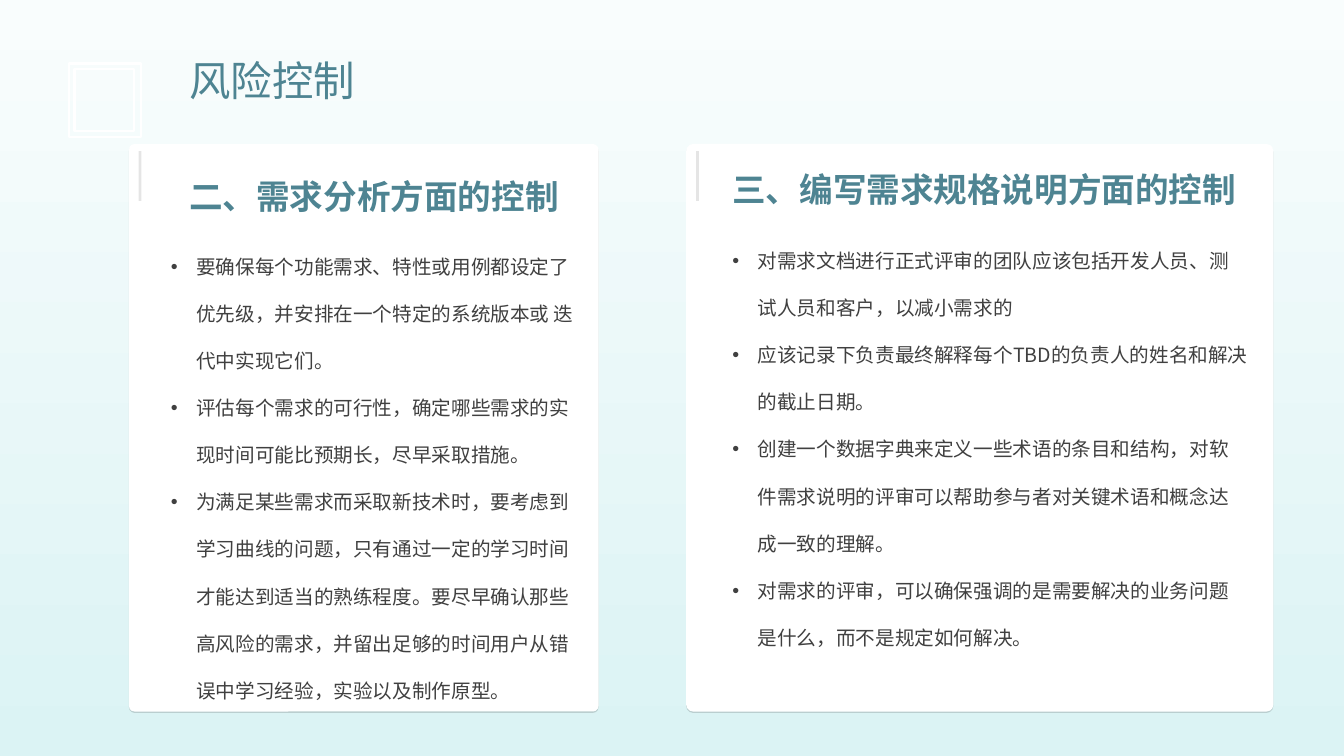
import dataclasses

import lxml.etree
import pptx
import pptx.dml.color
import pptx.enum.shapes
import pptx.enum.text
import pptx.oxml
import pptx.oxml.ns
import pptx.util

Cm = pptx.util.Cm
Pt = pptx.util.Pt
qn = pptx.oxml.ns.qn
NAMESPACE = pptx.oxml.ns.nsdecls("a")


@dataclasses.dataclass(frozen=True)
class Theme:
    background_top: str = "F9FDFD"
    background_bottom: str = "DBF3F4"
    accent: str = "4E8492"
    body: str = "404040"
    white: str = "FFFFFF"
    black: str = "000000"
    latin_font: str = "Arial"
    font: str = "Noto Sans CJK SC"
    title_size: float = 29.6
    heading_size: float = 24
    body_size: float = 14


def rgb(value):
    return pptx.dml.color.RGBColor.from_string(value)


def write_text(paragraph, text, *, size, color, font, east_asian, spacing, bold=False, bullet=None):
    properties = paragraph._p.get_or_add_pPr()
    if bullet:
        properties.set("marL", str(Cm(0.64)))
        properties.set("indent", str(-Cm(0.64)))
        bullet_color = lxml.etree.SubElement(properties, qn("a:buClr"))
        lxml.etree.SubElement(bullet_color, qn("a:srgbClr"), val=color)
        lxml.etree.SubElement(properties, qn("a:buFont"), typeface="Arial")
        lxml.etree.SubElement(properties, qn("a:buChar"), char=bullet)
    paragraph.alignment = pptx.enum.text.PP_ALIGN.LEFT
    paragraph.line_spacing = Pt(spacing)
    paragraph.space_before = Pt(0)
    run = paragraph.add_run()
    run.text = text
    run.font.size = Pt(size)
    run.font.bold = bold
    run.font.color.rgb = rgb(color)
    run.font.name = font
    lxml.etree.SubElement(run._r.get_or_add_rPr(), qn("a:ea"), typeface=east_asian)


class SlideBuilder:
    def __init__(self, presentation, theme):
        self.theme = theme
        self.slide = presentation.slides.add_slide(presentation.slide_layouts[5])

    def background(self):
        fill = self.slide.background.fill
        fill.gradient()
        fill.gradient_angle = 270
        colors = (self.theme.background_top, self.theme.background_bottom)
        for stop, position, color in zip(fill.gradient_stops, (0, 1), colors):
            stop.position = position
            stop.color.rgb = rgb(color)

    def prepare_frame(self, frame):
        frame.word_wrap = True
        frame.auto_size = pptx.enum.text.MSO_AUTO_SIZE.NONE
        frame.vertical_anchor = pptx.enum.text.MSO_ANCHOR.TOP
        frame.margin_left = frame.margin_right = Cm(0.25)
        frame.margin_top = frame.margin_bottom = Cm(0.13)

    def title(self, text, left, top, width, height):
        shape = self.slide.shapes.title
        shape.left, shape.top = Cm(left), Cm(top)
        shape.width, shape.height = Cm(width), Cm(height)
        self.prepare_frame(shape.text_frame)
        write_text(shape.text_frame.paragraphs[0], text, size=self.theme.title_size,
                   color=self.theme.accent, font=self.theme.latin_font,
                   east_asian=self.theme.font, spacing=33)

    def text_box(self, texts, left, top, width, height, **text_format):
        shape = self.slide.shapes.add_textbox(Cm(left), Cm(top), Cm(width), Cm(height))
        frame = shape.text_frame
        self.prepare_frame(frame)
        for index, text in enumerate(texts):
            paragraph = frame.add_paragraph() if index else frame.paragraphs[0]
            write_text(paragraph, text, font=self.theme.font,
                       east_asian=self.theme.font, **text_format)

    def heading(self, text, left, top, width):
        self.text_box([text], left, top, width, 1.27, size=self.theme.heading_size,
                      color=self.theme.accent, spacing=30, bold=True)

    def bullets(self, texts, left, top, width, height):
        self.text_box(texts, left, top, width, height, size=self.theme.body_size,
                      color=self.theme.body, spacing=33.6, bullet="•")

    def double_frame(self, outer, inner):
        def corners(left, top, right, bottom):
            return [(Cm(x), Cm(y)) for x, y in
                    ((left, top), (right, top), (right, bottom), (left, bottom))]

        first, *rest = corners(*outer)
        builder = self.slide.shapes.build_freeform(*first)
        builder.add_line_segments(rest, close=True)
        first, *rest = corners(*inner)
        builder.move_to(*first)
        builder.add_line_segments(rest, close=True)
        shape = builder.convert_to_shape()
        shape.shadow.inherit = False
        shape.fill.background()
        shape.line.color.rgb = rgb(self.theme.white)
        shape.line.width = Pt(1.5)

    def card(self, left, top, width, height):
        shape = self.slide.shapes.add_shape(
            pptx.enum.shapes.MSO_SHAPE.ROUNDED_RECTANGLE,
            Cm(left), Cm(top), Cm(width), Cm(height))
        shape.adjustments[0] = 0.012
        shape.fill.solid()
        shape.fill.fore_color.rgb = rgb(self.theme.white)
        shape.line.fill.background()
        shape.shadow.inherit = False
        effects = shape._element.spPr.find(qn("a:effectLst"))
        effects.append(pptx.oxml.parse_xml(
            f'<a:outerShdw {NAMESPACE} blurRad="0" dist="12700" dir="5400000">'
            f'<a:srgbClr val="{self.theme.black}"><a:alpha val="15000"/></a:srgbClr>'
            '</a:outerShdw>'))
        self.accent_line(left + 0.28, top + 0.18, top + 1.43)

    def accent_line(self, x, top, bottom):
        connector = self.slide.shapes.add_connector(
            pptx.enum.shapes.MSO_CONNECTOR.STRAIGHT, Cm(x), Cm(top), Cm(x), Cm(bottom))
        connector.line.color.rgb = rgb(self.theme.black)
        connector.line.width = Pt(2)
        properties = connector._element.spPr
        color = properties.find(".//" + qn("a:srgbClr"))
        lxml.etree.SubElement(color, qn("a:alpha"), val="10000")
        lxml.etree.SubElement(properties, qn("a:effectLst"))


def main():
    presentation = pptx.Presentation()
    presentation.slide_width, presentation.slide_height = Cm(33.88), Cm(19.05)
    builder = SlideBuilder(presentation, Theme())
    builder.background()
    builder.double_frame((1.73, 1.6, 3.55, 3.45), (1.88, 1.75, 3.39, 3.31))
    builder.title("风险控制", 4.52, 1.35, 13.67, 1.57)

    builder.card(3.25, 3.63, 11.84, 14.3)
    builder.heading("二、需求分析方面的控制", 4.52, 4.27, 10.01)
    builder.bullets([
        "要确保每个功能需求、特性或用例都设定了优先级，并安排在一个特定的系统版本或 迭代中实现它们。",
        "评估每个需求的可行性，确定哪些需求的实现时间可能比预期长，尽早采取措施。",
        "为满足某些需求而采取新技术时，要考虑到学习曲线的问题，只有通过一定的学习时间才能达到适当的熟练程度。"
        "要尽早确认那些高风险的需求，并留出足够的时间用户从错误中学习经验，实验以及制作原型。",
    ], 4.06, 5.71, 10.92, 12.12)

    builder.card(17.3, 3.63, 14.8, 14.3)
    builder.heading("三、编写需求规格说明方面的控制", 18.21, 4.09, 13.31)
    builder.bullets([
        "对需求文档进行正式评审的团队应该包括开发人员、测试人员和客户，以减小需求的",
        "应该记录下负责最终解释每个TBD的负责人的姓名和解决的截止日期。",
        "创建一个数据字典来定义一些术语的条目和结构，对软件需求说明的评审可以帮助参与者对关键术语和概念达成一致的理解。",
        "对需求的评审，可以确保强调的是需要解决的业务问题是什么，而不是规定如何解决。",
    ], 18.21, 5.56, 13.51, 10.95)

    presentation.save("out.pptx")


if __name__ == "__main__":
    main()
